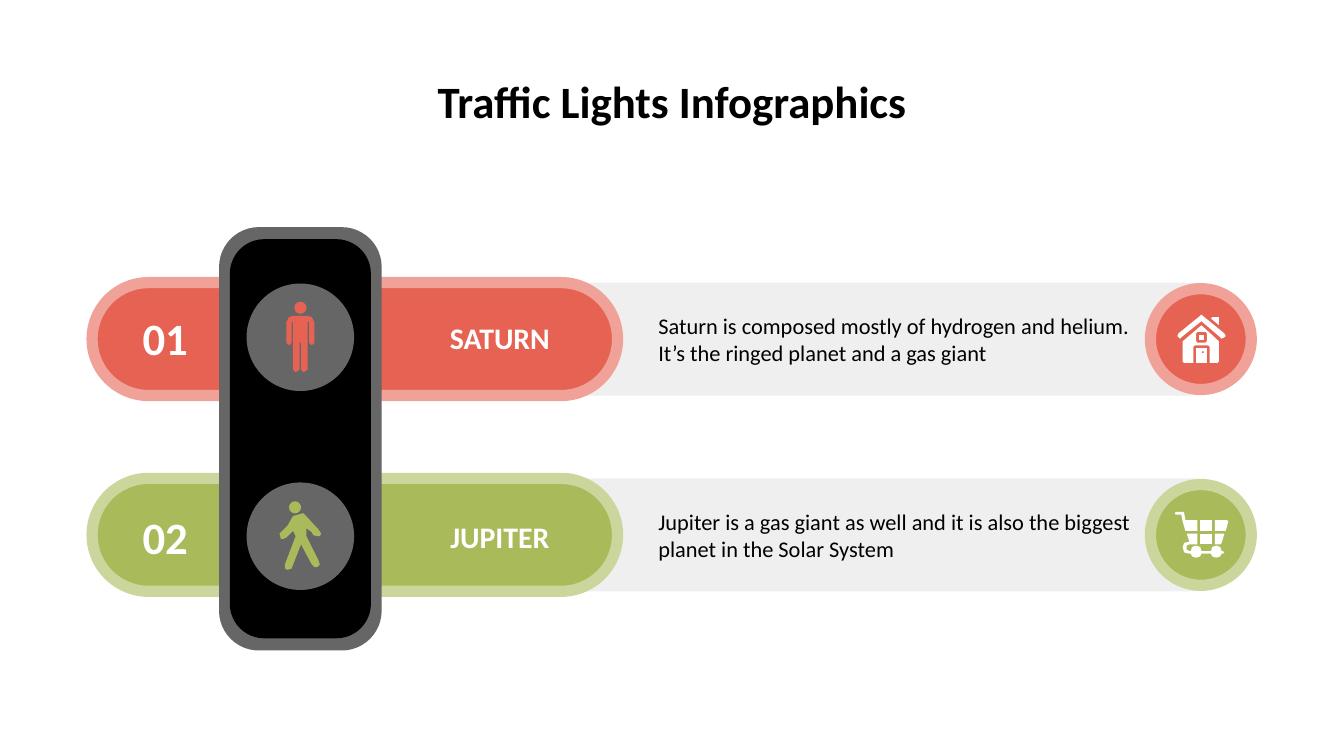
from pptx import Presentation
from pptx.dml.color import RGBColor
from pptx.enum.shapes import MSO_SHAPE
from pptx.enum.text import MSO_ANCHOR, PP_ALIGN
from pptx.util import Inches, Pt

RED = RGBColor(0xE6, 0x63, 0x53)
PINK = RGBColor(0xF0, 0xA1, 0x98)
GREEN = RGBColor(0xA9, 0xBA, 0x5A)
LIME = RGBColor(0xCB, 0xD6, 0x9C)
PALE = RGBColor(0xEF, 0xEF, 0xEF)
GREY = RGBColor(0x66, 0x66, 0x66)
BLACK = RGBColor(0, 0, 0)
WHITE = RGBColor(0xFF, 0xFF, 0xFF)

deck = Presentation()
deck.slide_width = Inches(10)
deck.slide_height = deck.slide_width * 9 // 16
slide = deck.slides.add_slide(deck.slide_layouts[6])
UNIT = deck.slide_width // 1000  # the grid has 1000 columns


def place(kind, mid_x, mid_y, wide, high, fill, rim=None):
    """Add a preset shape centred on a grid point."""
    item = slide.shapes.add_shape(
        kind, int((mid_x - wide / 2) * UNIT), int((mid_y - high / 2) * UNIT),
        int(wide * UNIT), int(high * UNIT))
    item.shadow.inherit = False
    item.fill.solid()
    item.fill.fore_color.rgb = fill
    if rim is None:
        item.line.fill.background()
    else:
        item.line.color.rgb = rim
        item.line.width = Pt(6)
    return item


def trace(fill, *loops):
    """Add one outline; loops after the first cut holes."""
    pen = slide.shapes.build_freeform(*loops[0][0], scale=UNIT)
    for spot, loop in enumerate(loops):
        if spot:
            pen.move_to(*loop[0])
        pen.add_line_segments(loop[1:], close=True)
    item = pen.convert_to_shape()
    item.shadow.inherit = False
    item.fill.solid()
    item.fill.fore_color.rgb = fill
    item.line.fill.background()


# Bars: middle row, lamp row, colours and wording of each
rows = [
    (252.3, 251, RED, PINK, "01", "SATURN",
     "Saturn is composed mostly of hydrogen and helium. "
     "It’s the ringed planet and a gas giant"),
    (398, 399, GREEN, LIME, "02", "JUPITER",
     "Jupiter is a gas giant as well and it is also the biggest "
     "planet in the Solar System"),
]
for mid, lamp, fill, rim, *words in rows:
    bars = [(665, 525, 0, PALE, None), (264, 391, 0.5, fill, rim)]
    for mid_x, long, tail, tint, edge in bars:
        bar = place(MSO_SHAPE.ROUND_2_SAME_RECTANGLE,
                    mid_x, mid, 84, long, tint, edge)
        bar.rotation = 90
        bar.adjustments[0] = 0.5
        bar.adjustments[1] = tail
    place(MSO_SHAPE.OVAL, 893.5, mid, 75, 75, fill, rim)

# Traffic light
for wide, high, fill in [(121, 315, GREY), (105, 297, BLACK)]:
    case = place(MSO_SHAPE.ROUNDED_RECTANGLE, 223.5, 326.5, wide, high, fill)
    case.adjustments[0] = 0.245
for row in rows:
    place(MSO_SHAPE.OVAL, 223.5, row[1], 80, 80, GREY)

# Standing figure
place(MSO_SHAPE.OVAL, 223.5, 229, 9, 9, RED)
trace(RED, [
    (218, 235), (215, 236), (213, 240), (213, 255), (215, 257), (217, 255),
    (217, 239), (218, 240), (218, 275), (220, 277), (223, 275), (223, 255),
    (224, 255), (224, 275), (226, 277), (229, 275), (229, 239), (230, 240),
    (230, 255), (232, 257), (234, 255), (234, 240), (232, 236), (229, 235)])

# Walking figure
place(MSO_SHAPE.OVAL, 219.5, 377.5, 9, 9, GREEN)
trace(GREEN, [
    (225, 382), (218, 384), (214, 391), (208, 397), (209, 401), (211, 401),
    (213, 400), (218, 395), (220, 399), (212, 420), (212, 423), (214, 424),
    (217, 423), (224, 405), (232, 420), (234, 422), (236, 422), (238, 420),
    (237, 417), (228, 399), (228, 393), (232, 396), (233, 398), (236, 399),
    (238, 399), (239, 397), (237, 394), (226, 382)])

# House: chimney, door, window, roof, walls
trace(WHITE, [(902, 236), (901, 237), (907, 242), (907, 236)])
trace(WHITE, [(890, 259), (890, 270), (898, 270), (898, 259)],
      [(895, 261), (896, 262), (895, 263), (894, 262)])
trace(WHITE, [(892, 249), (892, 253), (896, 253), (896, 249)])
trace(WHITE, [
    (894, 234), (893, 235), (877, 248), (876, 249.5), (877, 251), (878, 252),
    (879, 251), (894, 239), (908, 251), (909, 252), (911, 251), (912, 249.5),
    (911, 248), (895, 235)])
trace(WHITE, [
    (894, 242), (880, 254), (880, 269), (881, 270), (888, 270), (888, 258),
    (889, 257), (899, 257), (900, 258), (900, 270), (906, 270), (907, 269),
    (907, 254)],
    [(891, 247), (897, 247), (898, 248), (898, 254), (897, 255), (891, 255),
     (890, 254), (890, 248)])

# Cart: basket panels, handle, wheels
for top in (387, 397):
    trace(WHITE, [(893, top), (893, top + 8), (902, top + 8), (902, top)])
trace(WHITE, [(904, 397), (904, 405), (908, 405), (909, 404), (911, 397)])
trace(WHITE, [(904, 387), (904, 395), (912, 395), (914, 388), (913, 387)])
trace(WHITE, [
    (875, 381), (874, 382), (875, 383), (879, 383), (880, 388), (882, 395),
    (891, 395), (891, 387), (882, 387), (881, 381)])
trace(WHITE, [
    (883, 397), (885, 403), (881, 404), (880, 407), (881, 411), (885, 412),
    (886, 412), (887, 414), (890, 415), (893, 414), (894, 412), (901, 412),
    (902, 414), (905, 415), (908, 414), (909, 412), (910, 412), (911, 411),
    (910, 410), (909, 410), (908, 407), (905, 406), (902, 407), (901, 410),
    (894, 410), (893, 407), (890, 406), (887, 407), (886, 410), (885, 410),
    (883, 409), (883, 406), (885, 405), (891, 405), (891, 397)])

# Wording: text, left, top, width, height, size, colour
notes = [("Traffic Lights Infographics", 50, 45, 900, 44, 24, BLACK)]
for mid, lamp, fill, rim, number, name, about in rows:
    notes += [(number, 83, lamp - 42, 80, 84, 24, WHITE),
              (name, 304, lamp - 42, 136, 84, 16, WHITE),
              (about, 480, mid - 22, 377, 44, 12, BLACK)]
for text, left, top, wide, high, size, tint in notes:
    box = slide.shapes.add_textbox(
        *[int(part * UNIT) for part in (left, top, wide, high)])
    frame = box.text_frame
    frame.word_wrap = True
    frame.margin_left = frame.margin_right = Inches(0.1)
    frame.margin_top = frame.margin_bottom = Inches(0.1)
    frame.vertical_anchor = MSO_ANCHOR.TOP if top == 45 else MSO_ANCHOR.MIDDLE
    frame.text = text
    para = frame.paragraphs[0]
    para.alignment = PP_ALIGN.LEFT if size == 12 else PP_ALIGN.CENTER
    font = para.runs[0].font
    font.name = "Calibri"
    font.size = Pt(size)
    font.bold = size > 12
    font.color.rgb = tint

deck.save("out.pptx")
